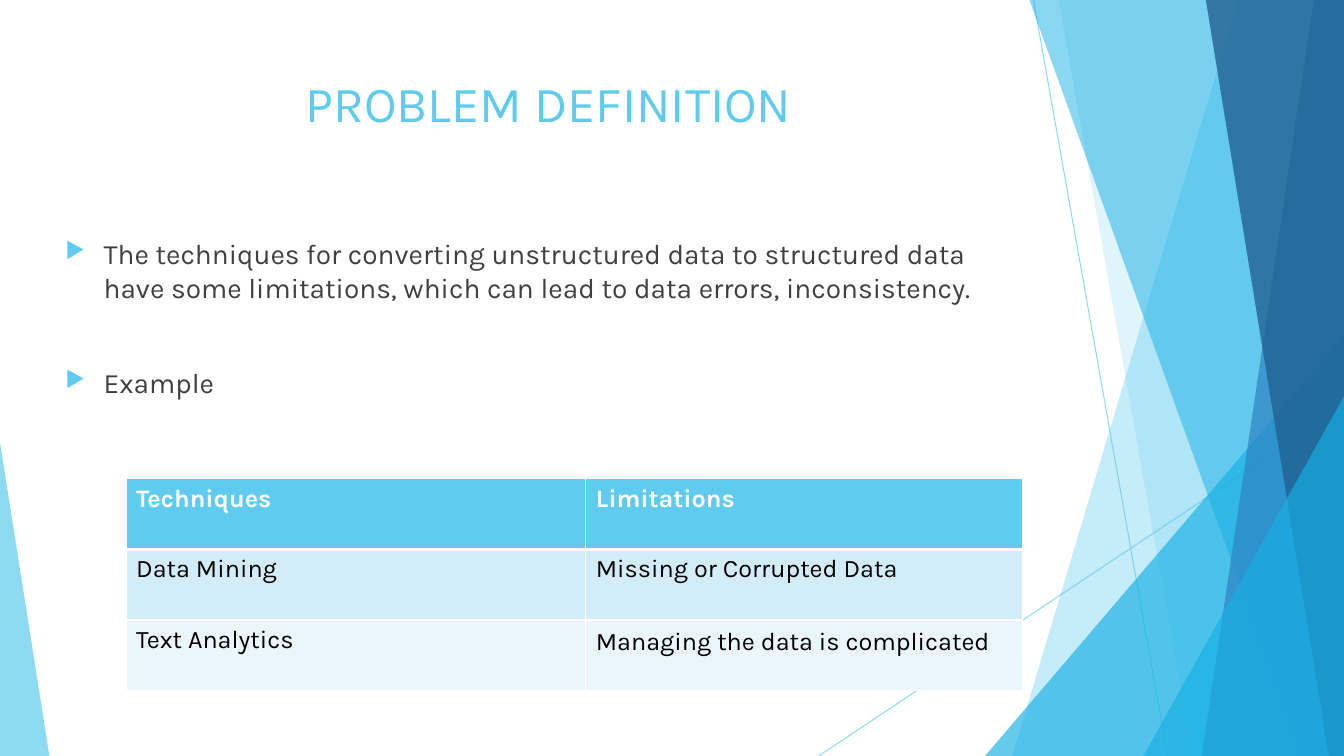
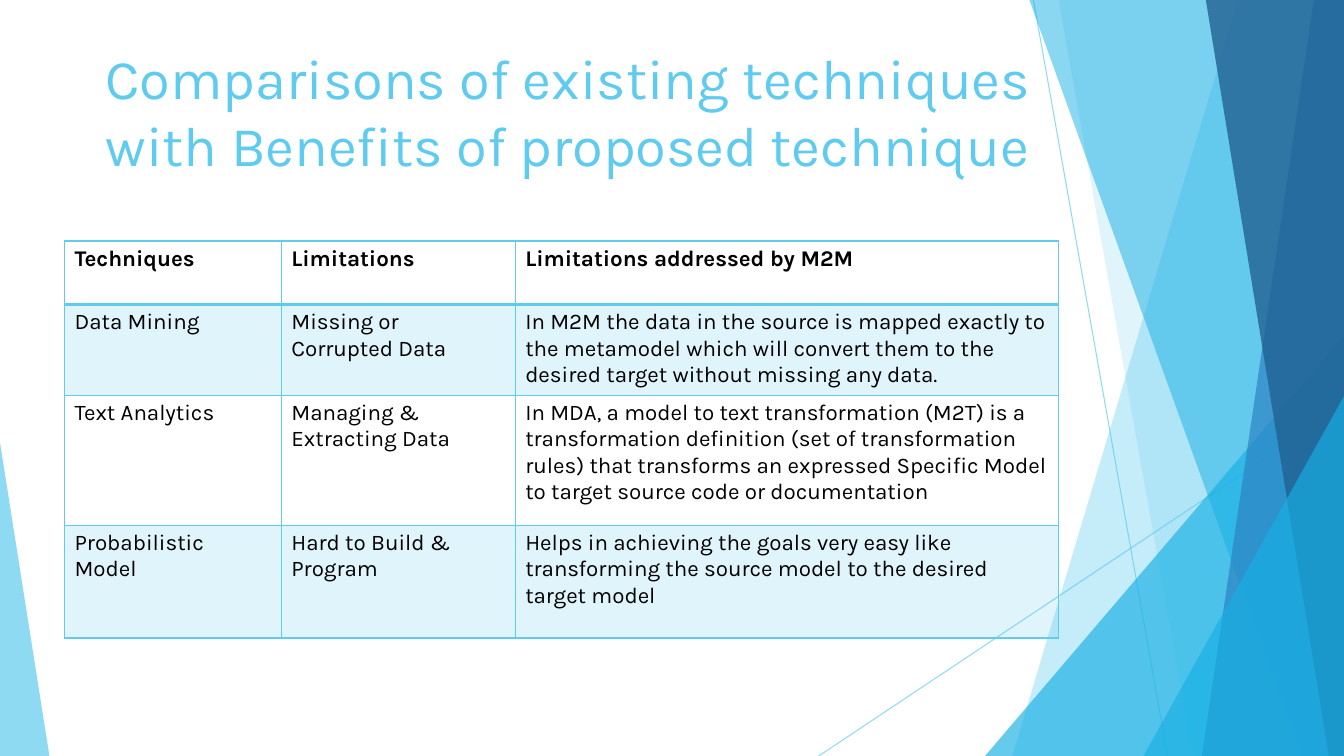
from lxml import etree
from pptx import Presentation
from pptx.dml.color import RGBColor
from pptx.enum.shapes import MSO_CONNECTOR as Connector, MSO_SHAPE as Preset
from pptx.enum.text import MSO_ANCHOR as Anchor, PP_ALIGN as Align
from pptx.oxml.ns import qn
from pptx.util import Inches, Pt

WIDTH, HEIGHT = 13.33, 7.5
FONT = "Karla"
COLORS = {
    "sky": "5FCBEF",
    "cyan": "17B0E4",
    "blue": "2E83C3",
    "navy": "226292",
    "band_dark": "D2ECF9",
    "band_light": "EAF6FC",
    "body": "404040",
    "black": "000000",
    "white": "FFFFFF",
}

RAYS = [((10.25, 0), (11.58, HEIGHT)), ((WIDTH, 4.03), (8.12, HEIGHT))]
FACETS = [
    ("panel", 12.28, 10.04, "sky", 36),
    ("panel", 10.5, 11.83, "sky", 20),
    ("triangle", (9.77, 3.33, 3.56), 1, "cyan", 66),
    ("panel", 10.21, 12.91, "cyan", 50),
    ("panel", 13.03, 11.92, "blue", 70),
    ("panel", 11.96, 13.18, "navy", 80),
    ("triangle", (11.34, 3.93, 1.99), 1, "cyan", 66),
    ("triangle", (0, 4.39, 0.49), 0, "sky", 70),
]

TECHNIQUES = [
    ["Techniques", "Limitations"],
    ["Data Mining", "Missing or Corrupted Data"],
    ["Text Analytics", "Managing the data is complicated"],
]
COMPARISON = [
    ["Techniques", "Limitations", "Limitations addressed by M2M"],
    ["Data Mining", "Missing or Corrupted Data",
     "In M2M the data in the source is mapped exactly to the metamodel which "
     "will convert them to the desired target without missing any data."],
    ["Text Analytics", "Managing & Extracting Data",
     "In MDA, a model to text transformation (M2T) is a transformation "
     "definition (set of transformation rules) that transforms an expressed "
     "Specific Model to target source code or documentation"],
    ["Probabilistic Model", "Hard to Build & Program",
     "Helps in achieving the goals very easy like transforming the source "
     "model to the desired target model"],
]


def rgb(name):
    return RGBColor.from_string(COLORS[name])


def add_child(parent, tag, **attributes):
    return etree.SubElement(parent, qn(tag), attributes)


def paint(fill, color, opacity=100):
    fill.solid()
    fill.fore_color.rgb = rgb(color)
    if opacity < 100:
        set_opacity(fill._xPr, opacity)


def set_opacity(element, opacity):
    color_element = next(element.iter(qn("a:srgbClr")))
    add_child(color_element, "a:alpha", val=str(opacity * 1000))


def style_paragraph(paragraph, size, color, bold=False):
    for run in paragraph.runs:
        run.font.name = FONT
        run.font.size = Pt(size)
        run.font.bold = bold
        run.font.color.rgb = rgb(color)


def add_ray(slide, start, end):
    ray = slide.shapes.add_connector(
        Connector.STRAIGHT, *(Inches(value) for value in (*start, *end)))
    ray.line.width = Pt(0.75)
    ray.line.color.rgb = rgb("sky")
    set_opacity(ray._element.spPr, 70)
    add_child(ray._element.spPr, "a:effectLst")


def add_panel(slide, top_x, bottom_x):
    builder = slide.shapes.build_freeform(Inches(top_x), 0)
    corners = [(WIDTH, 0), (WIDTH, HEIGHT), (bottom_x, HEIGHT)]
    builder.add_line_segments([(Inches(x), Inches(y)) for x, y in corners])
    return builder.convert_to_shape()


def add_triangle(slide, box, apex):
    left, top, width = box
    triangle = slide.shapes.add_shape(
        Preset.ISOSCELES_TRIANGLE, Inches(left), Inches(top),
        Inches(width), Inches(HEIGHT - top))
    triangle.adjustments[0] = apex
    return triangle


def add_backdrop(slide):
    for start, end in RAYS:
        add_ray(slide, start, end)
    makers = {"panel": add_panel, "triangle": add_triangle}
    for kind, first, second, color, opacity in FACETS:
        facet = makers[kind](slide, first, second)
        facet.shadow.inherit = False
        facet.line.fill.background()
        paint(facet.fill, color, opacity)


def add_text_frame(slide, box):
    text_box = slide.shapes.add_textbox(*(Inches(value) for value in box))
    text_box.text_frame.word_wrap = True
    text_box.text_frame.vertical_anchor = Anchor.TOP
    return text_box.text_frame


def add_title(slide, box, text, size, align=Align.LEFT):
    text_frame = add_text_frame(slide, box)
    text_frame.text = text
    paragraph = text_frame.paragraphs[0]
    paragraph.alignment = align
    style_paragraph(paragraph, size, "sky")


def add_bullets(slide, box, items, gap):
    text_frame = add_text_frame(slide, box)
    text_frame.text = "\n".join(items)
    for index, paragraph in enumerate(text_frame.paragraphs):
        paragraph.space_before = Pt(gap if index else 0)
        style_paragraph(paragraph, 20, "body")
        properties = paragraph._p.get_or_add_pPr()
        properties.set("marL", str(Inches(0.38)))
        properties.set("indent", str(-Inches(0.38)))
        bullet_color = add_child(properties, "a:buClr")
        add_child(bullet_color, "a:srgbClr", val=COLORS["sky"])
        add_child(properties, "a:buSzPct", val="80000")
        add_child(properties, "a:buChar", char="▶")


def set_borders(cell, color, widths):
    properties = cell._tc.get_or_add_tcPr()
    for index, (side, width) in enumerate(widths.items()):
        line = etree.Element(qn(f"a:ln{side}"), w=str(Pt(width)))
        fill = add_child(line, "a:solidFill")
        add_child(fill, "a:srgbClr", val=COLORS[color])
        properties.insert(index, line)


def add_grid(slide, origin, columns, heights, rows, size, header_color,
             fills, border, header_rule):
    left, top = origin
    table = slide.shapes.add_table(
        len(rows), len(columns), Inches(left), Inches(top),
        Inches(sum(columns)), Inches(sum(heights))).table
    for column, width in zip(table.columns, columns):
        column.width = Inches(width)
    for row_index, (row, height) in enumerate(zip(table.rows, heights)):
        row.height = Inches(height)
        is_header = row_index == 0
        widths = {
            "L": 1, "R": 1,
            "T": header_rule if row_index == 1 else 1,
            "B": header_rule if is_header else 1,
        }
        for cell, text in zip(row.cells, rows[row_index]):
            cell.text_frame.text = text
            style_paragraph(cell.text_frame.paragraphs[0], size,
                            header_color if is_header else "black", is_header)
            if fills[row_index]:
                paint(cell.fill, *fills[row_index])
            else:
                cell.fill.background()
            set_borders(cell, border, widths)
    return table


def add_slide(presentation):
    slide = presentation.slides.add_slide(presentation.slide_layouts[6])
    add_backdrop(slide)
    return slide


def build_problem_slide(presentation):
    slide = add_slide(presentation)
    add_title(slide, (0.74, 0.67, 9.4, 1.44), "PROBLEM DEFINITION", 36,
              Align.CENTER)
    add_bullets(slide, (0.55, 2.3, 9.4, 2.2), [
        "The techniques for converting unstructured data to structured data "
        "have some limitations, which can lead to data errors, inconsistency.",
        "Example",
    ], gap=44)
    table = add_grid(
        slide, (1.25, 4.75), [4.56, 4.33], [0.7] * 3, TECHNIQUES, 18, "white",
        [("sky",), ("band_dark",), ("band_light",)], "white", 3)
    last_paragraph = table.cell(2, 1).text_frame.paragraphs[0]
    last_paragraph.line_spacing = 1.07
    last_paragraph.space_after = Pt(8)


def build_comparison_slide(presentation):
    slide = add_slide(presentation)
    add_title(slide, (0.95, 0.38, 9.4, 1.48),
              "Comparisons of existing techniques with Benefits of proposed "
              "technique", 40)
    tint = ("sky", 20)
    add_grid(
        slide, (0.64, 2.39), [2.15, 2.32, 5.39], [0.63, 0.88, 1.29, 1.12],
        COMPARISON, 16, "black", [None, tint, None, tint], "sky", 2)


def main():
    presentation = Presentation()
    presentation.slide_width = Inches(WIDTH)
    presentation.slide_height = Inches(HEIGHT)
    build_problem_slide(presentation)
    build_comparison_slide(presentation)
    presentation.save("out.pptx")


if __name__ == "__main__":
    main()
